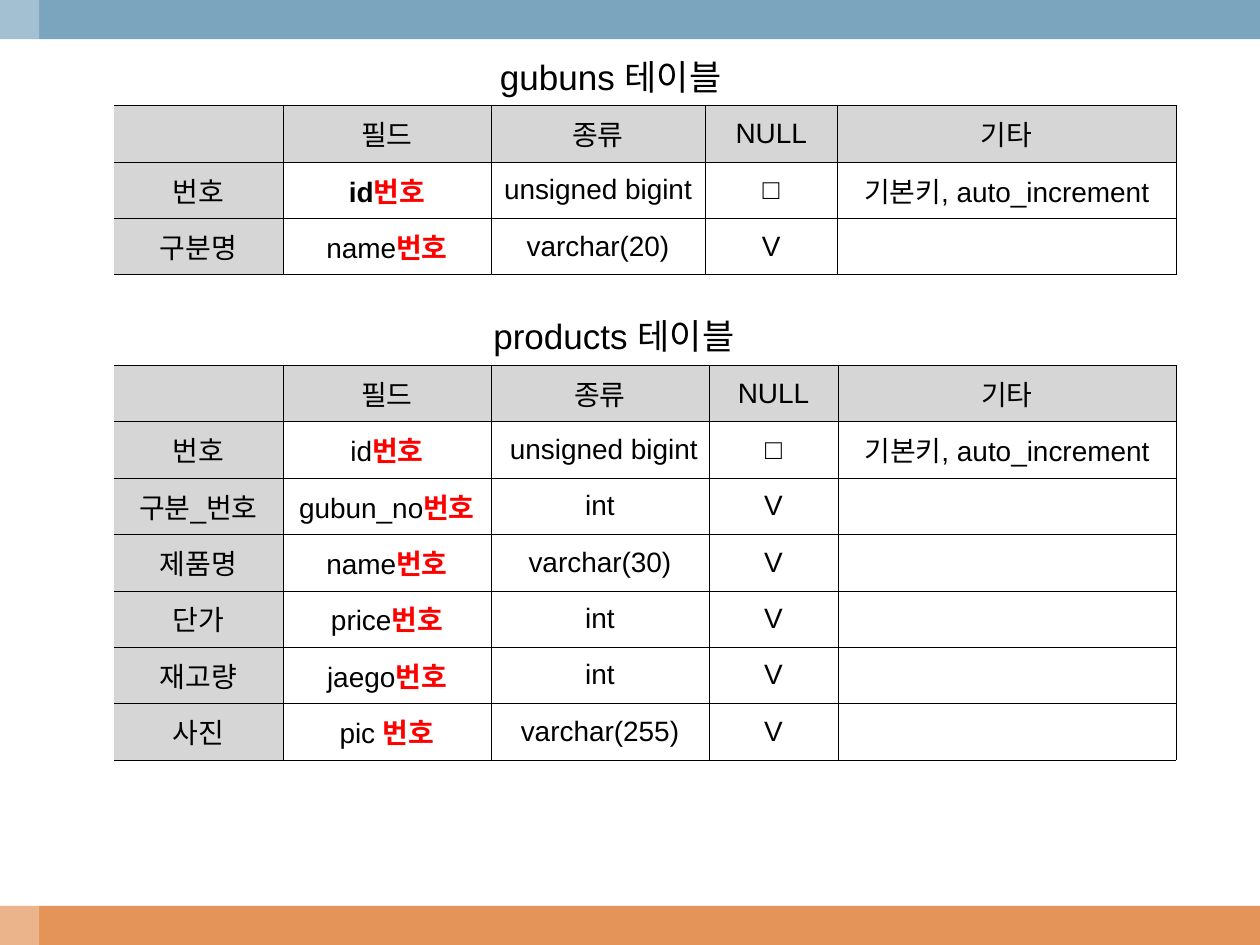
from lxml.etree import SubElement
from pptx import Presentation
from pptx.dml.color import RGBColor
from pptx.enum.shapes import MSO_SHAPE as Shape
from pptx.enum.text import MSO_ANCHOR as Anchor, MSO_AUTO_SIZE as AutoSize, PP_ALIGN as Align
from pptx.oxml.ns import qn
from pptx.util import Pt

WIDTH, HEIGHT, BAR = 720, 540, 22.4
BLUE, ORANGE, WHITE, GRAY, BLACK, RED = "7BA5BE", "E49458", "FFFFFF", "D6D6D6", "000000", "FF0000"
TABLE_LEFT, ROW_HEIGHT = 65, 32.22
HEADING_WIDTH, HEADING_HEIGHT = 198.6, 32.3
MARK = "번호"
HEADER = ["", "필드", "종류", "NULL", "기타"]
KEY_NOTE = "기본키, auto_increment"

TABLES = [
    {
        "heading": "gubuns 테이블", "heading_left": 249.7, "top": 60.3,
        "columns": [96.7, 118.8, 122.4, 75.6, 193.5],
        "bold_fields": ["id"],
        "rows": [
            ["번호", "id", "unsigned bigint", "□", KEY_NOTE],
            ["구분명", "name", "varchar(20)", "V", ""],
        ],
    },
    {
        "heading": "products 테이블", "heading_left": 251.5, "top": 208.7,
        "columns": [96.7, 118.8, 124.7, 73.7, 193.1],
        "bold_fields": [],
        "rows": [
            ["번호", "id", " unsigned bigint", "□", KEY_NOTE],
            ["구분_번호", "gubun_no", "int", "V", ""],
            ["제품명", "name", "varchar(30)", "V", ""],
            ["단가", "price", "int", "V", ""],
            ["재고량", "jaego", "int", "V", ""],
            ["사진", "pic ", "varchar(255)", "V", ""],
        ],
    },
]


def color(value):
    return RGBColor.from_string(value)


def add_bar(page, left, top, width, height, fill, opacity=100):
    bar = page.shapes.add_shape(Shape.RECTANGLE, Pt(left), Pt(top), Pt(width), Pt(height))
    bar.shadow.inherit = False
    bar.line.fill.background()
    bar.fill.solid()
    bar.fill.fore_color.rgb = color(fill)
    if opacity < 100:
        tint = bar.fill._xPr.find(qn("a:solidFill"))[0]
        SubElement(tint, qn("a:alpha"), val=str(opacity * 1000))


def add_span(para, text, size, fill=BLACK, bold=False):
    span = para.add_run()
    span.text = text
    for name, value in {"name": "Arial", "size": Pt(size), "bold": bold}.items():
        setattr(span.font, name, value)
    span.font.color.rgb = color(fill)


def set_heading(box, text, left, top):
    place = {"left": left, "top": top, "width": HEADING_WIDTH, "height": HEADING_HEIGHT}
    for name, value in place.items():
        setattr(box, name, Pt(value))
    frame = box.text_frame
    layout = {"word_wrap": True, "auto_size": AutoSize.NONE, "vertical_anchor": Anchor.TOP}
    for name, value in layout.items():
        setattr(frame, name, value)
    para = frame.paragraphs[0]
    para.alignment = Align.CENTER
    add_span(para, text, 20)


def set_borders(cell, open_left):
    properties = cell._tc.get_or_add_tcPr()
    for side in "LRTB":
        line = SubElement(properties, qn(f"a:ln{side}"), w=str(Pt(0.11)))
        if side == "L" and open_left:
            SubElement(line, qn("a:noFill"))
        else:
            fill = SubElement(line, qn("a:solidFill"))
            SubElement(fill, qn("a:srgbClr"), val=BLACK)


def fill_cell(cell, text, is_label, is_field, open_left, bold):
    margins = {"margin_left": 1.4, "margin_right": 1.4, "margin_top": 3.6, "margin_bottom": 3.6}
    for name, value in margins.items():
        setattr(cell, name, Pt(value))
    cell.vertical_anchor = Anchor.MIDDLE
    set_borders(cell, open_left)
    cell.fill.solid()
    cell.fill.fore_color.rgb = color(GRAY if is_label else WHITE)
    para = cell.text_frame.paragraphs[0]
    para.alignment = Align.CENTER
    if text:
        add_span(para, text, 16, bold=bold)
    if is_field:
        add_span(para, MARK, 16, RED, True)


def add_schema(page, schema):
    rows = [HEADER] + schema["rows"]
    columns = schema["columns"]
    frame = page.shapes.add_table(
        len(rows), len(columns), Pt(TABLE_LEFT), Pt(schema["top"]),
        Pt(sum(columns)), Pt(ROW_HEIGHT * len(rows)))
    table = frame.table
    table.first_row = table.horz_banding = False
    for column, width in zip(table.columns, columns):
        column.width = Pt(width)
    for r, row in enumerate(rows):
        table.rows[r].height = Pt(ROW_HEIGHT)
        for c, text in enumerate(row):
            is_field = r > 0 and c == 1
            fill_cell(table.cell(r, c), text, r == 0 or c == 0, is_field, c == 0,
                      is_field and text in schema["bold_fields"])


def main():
    deck = Presentation()
    deck.slide_width, deck.slide_height = Pt(WIDTH), Pt(HEIGHT)
    page = deck.slides.add_slide(deck.slide_layouts[5])
    add_bar(page, 0, HEIGHT - BAR, WIDTH, BAR, ORANGE)
    add_bar(page, 0, 0, WIDTH, BAR, BLUE)
    add_bar(page, 0, 0, BAR, HEIGHT, WHITE, 30)
    for index, schema in enumerate(TABLES):
        add_schema(page, schema)
        box = page.shapes.add_textbox(0, 0, 0, 0) if index else page.shapes.title
        set_heading(box, schema["heading"], schema["heading_left"], schema["top"] - HEADING_HEIGHT)
    deck.save("out.pptx")


if __name__ == "__main__":
    main()
